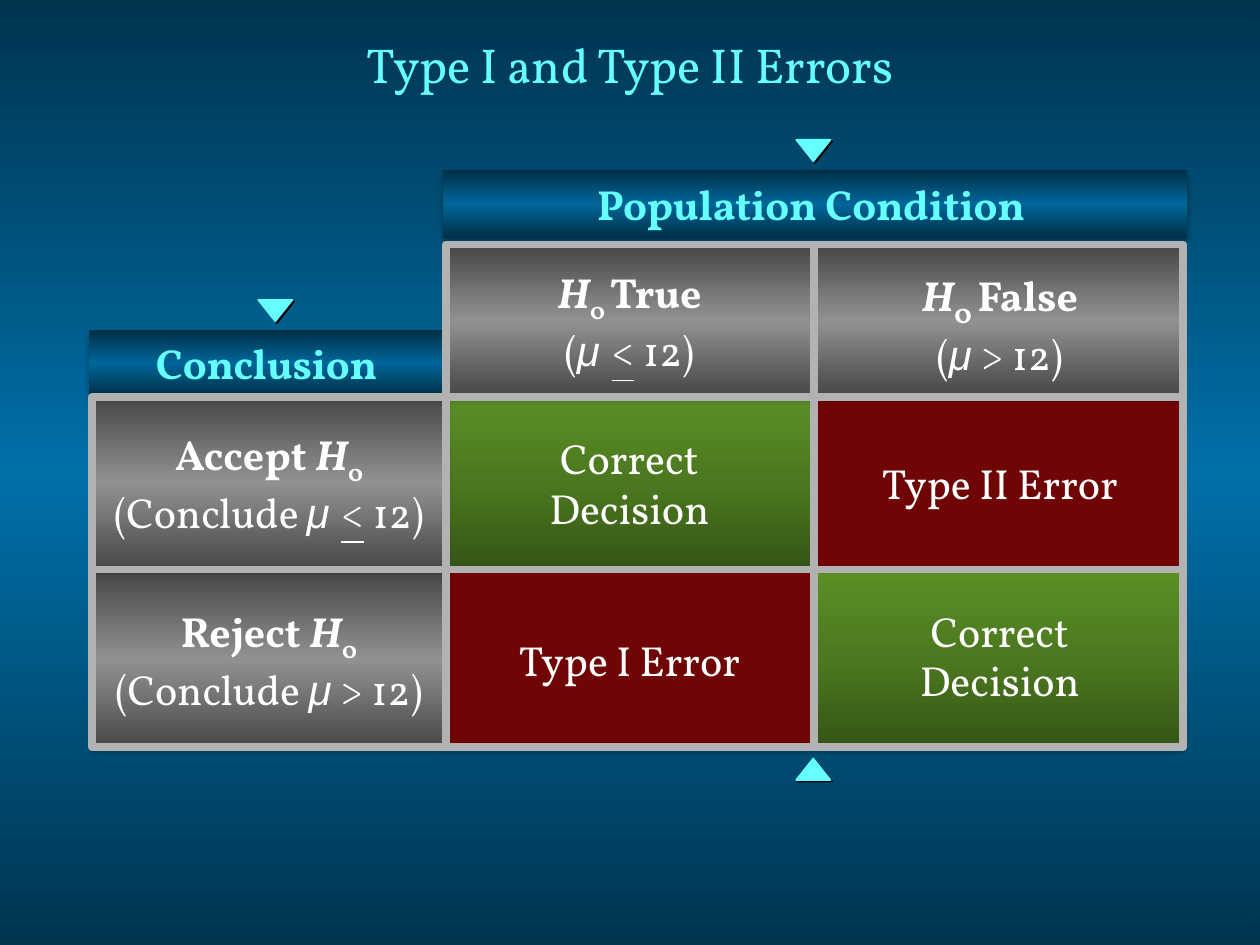
from lxml import etree
from pptx import Presentation
from pptx.dml.color import RGBColor
from pptx.enum.shapes import MSO_CONNECTOR, MSO_SHAPE as SHAPE
from pptx.enum.text import MSO_ANCHOR as ANCHOR, PP_ALIGN as ALIGN
from pptx.oxml import parse_xml
from pptx.oxml.ns import nsdecls, qn
from pptx.util import Inches, Pt

FONT, SYMBOL_FONT = "Vollkorn", "Arial"
WHITE, CYAN, RULE = "FFFFFF", "66FFFF", "B2B2B2"
BACKGROUND = (("00344F", "0070A8", "00344F"), 90)
GREY = (("484848", "919191", "484848"), 90)
BLUE = (("002F47", "006699", "002F47"), 90)
GREEN = (("355516", "4C781F", "5A8F25"), 270)
RED = "6F0505"

# Runs are (text, style flags, optional size):
# b bold, i italic, u underlined, s subscript, m mathematical symbol
TITLE = [[("Type I and Type II Errors", "", 28)]]
CORRECT = [[("Correct", "")], [("Decision", "")]]
AT_MOST = [("μ ", "mi"), ("<", "u"), (" 12)", "")]
ABOVE = [("μ", "mi"), (" > 12)", "")]

# (column, row, fill, paragraphs)
CELLS = [
    (1, 1, GREEN, CORRECT),
    (2, 1, RED, [[("Type II Error", "")]]),
    (2, 2, GREEN, CORRECT),
    (1, 2, RED, [[("Type I Error", "")]]),
    (0, 2, GREY, [[("Reject ", "b"), ("H", "bi"), ("0", "bs")],
                  [("(Conclude ", ""), *ABOVE]]),
    (0, 1, GREY, [[("Accept ", "b"), ("H", "bi"), ("0", "bs")],
                  [("(Conclude", ""), (" ", "", 22), *AT_MOST]]),
    (1, 0, GREY, [[("H", "bi"), ("0 ", "bs"), ("True", "b")],
                  [("(", ""), *AT_MOST]]),
    (2, 0, GREY, [[("H", "bi"), ("0 ", "bs", 28), ("False", "b")],
                  [("(", ""), *ABOVE]]),
]
COLUMNS = [(0.73, 2.81), (3.54, 2.91), (6.48, 2.91)]  # left, width
ROWS = [(1.95, 1.19), (3.15, 1.36), (4.54, 1.39)]  # top, height
HEADERS = [
    ("Conclusion", (0.71, 2.62, 2.81, 0.52)),
    ("Population Condition ", (3.52, 1.35, 5.9, 0.54)),
]
X_EDGES = (0.73, 3.54, 6.46, 9.39)
Y_EDGES = (1.94, 3.15, 4.52, 5.93)
MARKERS = [(2.05, 2.38, 180), (6.32, 1.11, 180), (6.32, 6.02, 0)]
MARKER_SIZE = (0.27, 0.17)


def color(value):
    return RGBColor.from_string(value)


def set_gradient(fill, parent, gradient):
    """Replace the fill inside parent by an evenly spaced linear gradient."""
    stops, angle = gradient
    fill.solid()
    last = len(stops) - 1
    stop_xml = "".join(
        f'<a:gs pos="{100000 * n // last}"><a:srgbClr val="{stop}"/></a:gs>'
        for n, stop in enumerate(stops))
    solid = parent.find(qn("a:solidFill"))
    parent.replace(solid, parse_xml(
        f'<a:gradFill {nsdecls("a")} rotWithShape="1"><a:gsLst>{stop_xml}</a:gsLst>'
        f'<a:lin ang="{angle * 60000}" scaled="0"/></a:gradFill>'))


def add_shadow(shape, opacity, blur, distance, angle):
    shape.shadow.inherit = False
    effects = shape._element.spPr.find(qn("a:effectLst"))
    effects.append(parse_xml(
        f'<a:outerShdw {nsdecls("a")} blurRad="{Pt(blur)}" dist="{Pt(distance)}" '
        f'dir="{angle * 60000}" algn="ctr" rotWithShape="0"><a:srgbClr val="000000">'
        f'<a:alpha val="{opacity * 1000}"/></a:srgbClr></a:outerShdw>'))


def add_run(paragraph, text_color, text, flags, size=24):
    run = paragraph.add_run()
    run.text = text
    font = run.font
    font.name = SYMBOL_FONT if "m" in flags else FONT
    font.size = Pt(size)
    font.color.rgb = color(text_color)
    font.bold, font.italic, font.underline = (flag in flags for flag in "biu")
    if "s" in flags:
        run._r.get_or_add_rPr().set("baseline", "-25000")


def write(shape, paragraphs, text_color=WHITE, wrap=False, tight=False):
    frame = shape.text_frame
    frame.word_wrap = wrap
    frame.vertical_anchor = ANCHOR.MIDDLE
    for number, runs in enumerate(paragraphs):
        paragraph = frame.add_paragraph() if number else frame.paragraphs[0]
        paragraph.alignment = ALIGN.CENTER
        if tight:
            paragraph.line_spacing = 0.8
            paragraph.space_before = Pt(5)
        for run in runs:
            add_run(paragraph, text_color, *run)


def add_shape(slide, kind, box):
    return slide.shapes.add_shape(kind, *map(Inches, box))


def add_box(slide, box, fill, paragraphs, **style):
    shape = add_shape(slide, SHAPE.RECTANGLE, box)
    if isinstance(fill, str):
        shape.fill.solid()
        shape.fill.fore_color.rgb = color(fill)
    else:
        set_gradient(shape.fill, shape._element.spPr, fill)
    shape.line.fill.background()
    add_shadow(shape, 32, 3.5, 2.2, 90)
    write(shape, paragraphs, **style)


def draw_rule(line):
    line.color.rgb = color(RULE)
    line.width = Pt(4.5)


def add_rule(slide, *ends):
    rule = slide.shapes.add_connector(MSO_CONNECTOR.STRAIGHT, *map(Inches, ends))
    draw_rule(rule.line)
    etree.SubElement(rule._element.spPr, qn("a:effectLst"))


def add_frame(slide, left, top, right, bottom):
    frame = add_shape(slide, SHAPE.RECTANGLE, (left, top, right - left, bottom - top))
    frame.fill.background()
    frame.shadow.inherit = False
    draw_rule(frame.line)


def add_marker(slide, left, top, rotation):
    marker = add_shape(slide, SHAPE.ISOSCELES_TRIANGLE, (left, top, *MARKER_SIZE))
    marker.rotation = rotation
    marker.fill.solid()
    marker.fill.fore_color.rgb = marker.line.color.rgb = color(CYAN)
    marker.line.width = Pt(1)
    add_shadow(marker, 100, 0, 1.4, 45)


def main():
    presentation = Presentation()
    presentation.slide_width, presentation.slide_height = Inches(10), Inches(7.5)
    slide = presentation.slides.add_slide(presentation.slide_layouts[6])
    background = slide.background.fill
    background.solid()
    set_gradient(background, slide.element.find(".//" + qn("p:bgPr")), BACKGROUND)

    title = slide.shapes.add_textbox(*map(Inches, (0.75, 0.09, 8.5, 0.83)))
    write(title, TITLE, CYAN, wrap=True)

    for column, row, fill, paragraphs in CELLS:
        (left, width), (top, height) = COLUMNS[column], ROWS[row]
        add_box(slide, (left, top, width, height), fill, paragraphs,
                tight=paragraphs is CORRECT and row == 2)
    for text, box in HEADERS:
        add_box(slide, box, BLUE, [[(text, "b")]], text_color=CYAN)

    x0, x1, x2, x3 = X_EDGES
    y0, y1, y2, y3 = Y_EDGES
    add_rule(slide, x2, y0, x2, y3)
    add_frame(slide, x1, y0, x3, y3)
    add_rule(slide, x1, y1, x3, y1)
    add_frame(slide, x0, y1, x1, y3)
    for start, end in ((x0, x1), (x1, x3)):
        add_rule(slide, start, y2, end, y2)

    for marker in MARKERS:
        add_marker(slide, *marker)
    presentation.save("out.pptx")


if __name__ == "__main__":
    main()
